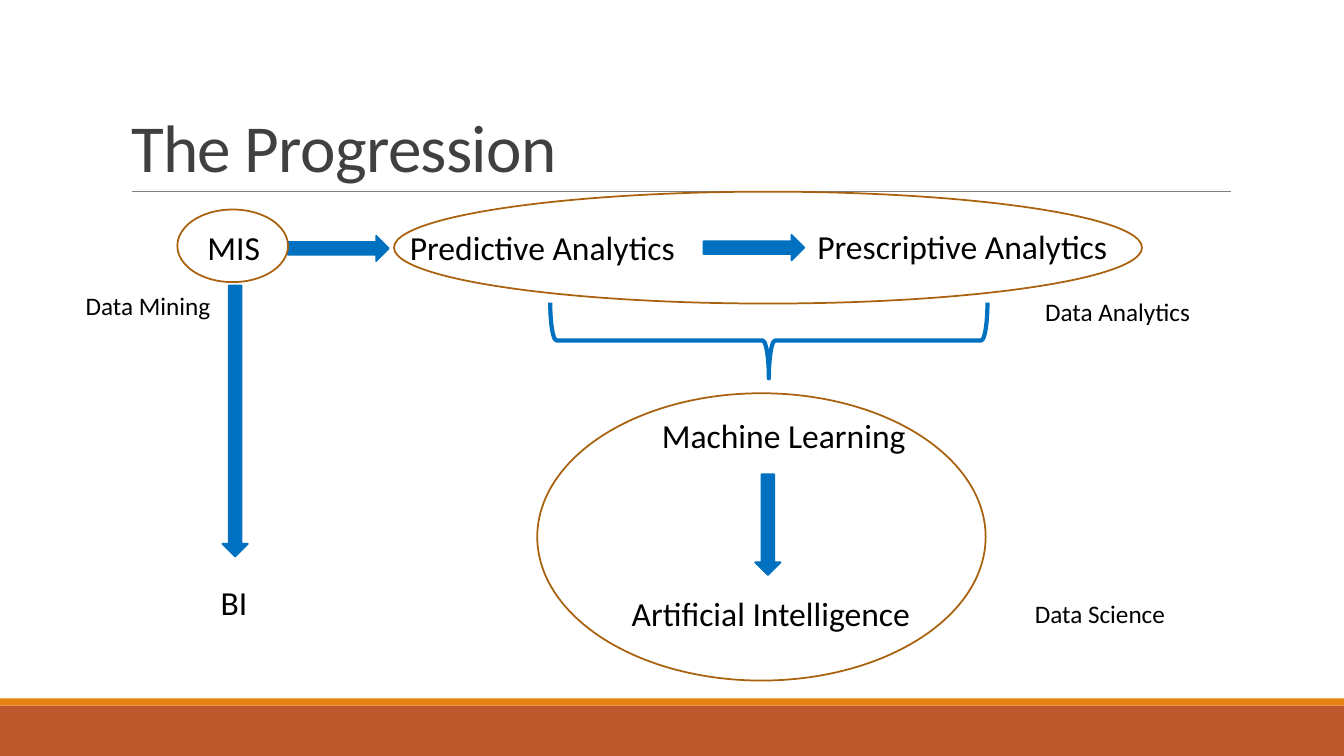
from typing import NamedTuple

from pptx import Presentation
from pptx.dml.color import RGBColor
from pptx.enum.shapes import MSO_CONNECTOR, MSO_SHAPE
from pptx.enum.text import MSO_ANCHOR, MSO_AUTO_SIZE, PP_ALIGN
from pptx.oxml.ns import qn
from pptx.slide import Slide
from pptx.util import Cm, Pt

FONT = "Calibri"
BLACK = RGBColor(0x00, 0x00, 0x00)
TITLE_GREY = RGBColor(0x40, 0x40, 0x40)
RULE_GREY = RGBColor(0x80, 0x80, 0x80)
BLUE = RGBColor(0x00, 0x70, 0xC0)
BROWN = RGBColor(0xA9, 0x61, 0x0D)
RUST = RGBColor(0xBD, 0x58, 0x2C)
ORANGE = RGBColor(0xE4, 0x83, 0x12)

SLIDE_WIDTH, SLIDE_HEIGHT = 33.87, 19.05
STAGE_SIZE, FIELD_SIZE = 24, 18
ARROW_THICKNESS = 0.64


class Label(NamedTuple):
    text: str
    left: float
    top: float
    width: float
    size: int = STAGE_SIZE


class Figure(NamedTuple):
    kind: MSO_SHAPE
    left: float
    top: float
    width: float
    height: float
    fill: RGBColor | None = None
    line: RGBColor | None = None
    line_width: float = 1.25
    rotation: int = 0


def arrow(left: float, top: float, length: float = 2.54, rotation: int = 0) -> Figure:
    return Figure(MSO_SHAPE.RIGHT_ARROW, left, top, length, ARROW_THICKNESS,
                  BLUE, BLUE, rotation=rotation)


def group_oval(left: float, top: float, width: float, height: float) -> Figure:
    return Figure(MSO_SHAPE.OVAL, left, top, width, height, line=BROWN)


FOOTER_BANDS = [
    Figure(MSO_SHAPE.RECTANGLE, 0, 17.78, SLIDE_WIDTH, 1.27, RUST),
    Figure(MSO_SHAPE.RECTANGLE, 0, 17.6, SLIDE_WIDTH, 0.18, ORANGE),
]
PROGRESSION = [
    arrow(17.73, 5.92),                            # predictive to prescriptive
    arrow(18.08, 12.9, rotation=90),               # learning to intelligence
    Figure(MSO_SHAPE.RIGHT_BRACE, 18.42, 3.07, 1.91, 11.02,
           line=BLUE, line_width=3, rotation=90),
    arrow(7.26, 5.94),                             # MIS to analytics
    arrow(2.51, 10.29, 6.83, rotation=90),         # MIS to BI
    group_oval(4.47, 5.28, 2.79, 1.83),
    group_oval(9.93, 4.83, 18.85, 2.82),
    group_oval(13.54, 9.91, 11.3, 7.24),
]
LABELS = [
    Label("MIS", 4.98, 5.59, 1.91),
    Label("Predictive Analytics", 10.08, 5.59, 7.39),
    Label("Prescriptive Analytics", 20.35, 5.56, 8.43),
    Label("Machine Learning", 16.43, 10.34, 8.43),
    Label("Artificial Intelligence", 15.67, 14.81, 8.05),
    Label("BI", 5.31, 14.55, 1.27),
    Label("Data Mining", 1.91, 7.19, 4.34, FIELD_SIZE),
    Label("Data Analytics", 26.09, 7.34, 5.38, FIELD_SIZE),
    Label("Data Science", 25.83, 14.94, 5.38, FIELD_SIZE),
]


def draw_figure(slide: Slide, figure: Figure) -> None:
    shape = slide.shapes.add_shape(figure.kind, Cm(figure.left), Cm(figure.top),
                                   Cm(figure.width), Cm(figure.height))
    shape.shadow.inherit = False
    shape.rotation = figure.rotation
    if figure.fill is None:
        shape.fill.background()
    else:
        shape.fill.solid()
        shape.fill.fore_color.rgb = figure.fill
    if figure.line is None:
        shape.line.fill.background()
    else:
        shape.line.color.rgb = figure.line
        shape.line.width = Pt(figure.line_width)


def draw_label(slide: Slide, label: Label) -> None:
    height = 1.27 if label.size == STAGE_SIZE else 1.02
    box = slide.shapes.add_textbox(Cm(label.left), Cm(label.top),
                                   Cm(label.width), Cm(height))
    frame = box.text_frame
    frame.word_wrap = True
    frame.auto_size = MSO_AUTO_SIZE.SHAPE_TO_FIT_TEXT
    run = frame.paragraphs[0].add_run()
    run.text = label.text
    run.font.name = FONT
    run.font.size = Pt(label.size)
    run.font.color.rgb = BLACK


def draw_title(slide: Slide, text: str) -> None:
    title = slide.shapes.title
    title.left, title.top = Cm(3.05), Cm(0.79)
    title.width, title.height = Cm(27.94), Cm(4.04)
    frame = title.text_frame
    frame.auto_size = MSO_AUTO_SIZE.NONE
    frame.vertical_anchor = MSO_ANCHOR.BOTTOM
    paragraph = frame.paragraphs[0]
    paragraph.alignment = PP_ALIGN.LEFT
    paragraph.line_spacing = 0.85
    run = paragraph.add_run()
    run.text = text
    run.font.name = FONT
    run.font.size = Pt(48)
    run.font.color.rgb = TITLE_GREY
    run.font._element.set("spc", "-50")


def draw_title_rule(slide: Slide) -> None:
    rule = slide.shapes.add_connector(MSO_CONNECTOR.STRAIGHT,
                                      Cm(3.33), Cm(4.83), Cm(31.01), Cm(4.83))
    rule.line.color.rgb = RULE_GREY
    rule.line.width = Pt(0.5)
    properties = rule._element.spPr
    properties.append(properties.makeelement(qn("a:effectLst"), {}))


def main() -> None:
    deck = Presentation()
    deck.slide_width, deck.slide_height = Cm(SLIDE_WIDTH), Cm(SLIDE_HEIGHT)
    slide = deck.slides.add_slide(deck.slide_layouts[5])

    # Frame of the slide
    for band in FOOTER_BANDS:
        draw_figure(slide, band)
    draw_title_rule(slide)
    draw_title(slide, "The Progression")

    # Diagram
    for figure in PROGRESSION:
        draw_figure(slide, figure)
    for label in LABELS:
        draw_label(slide, label)

    deck.save("out.pptx")


if __name__ == "__main__":
    main()
